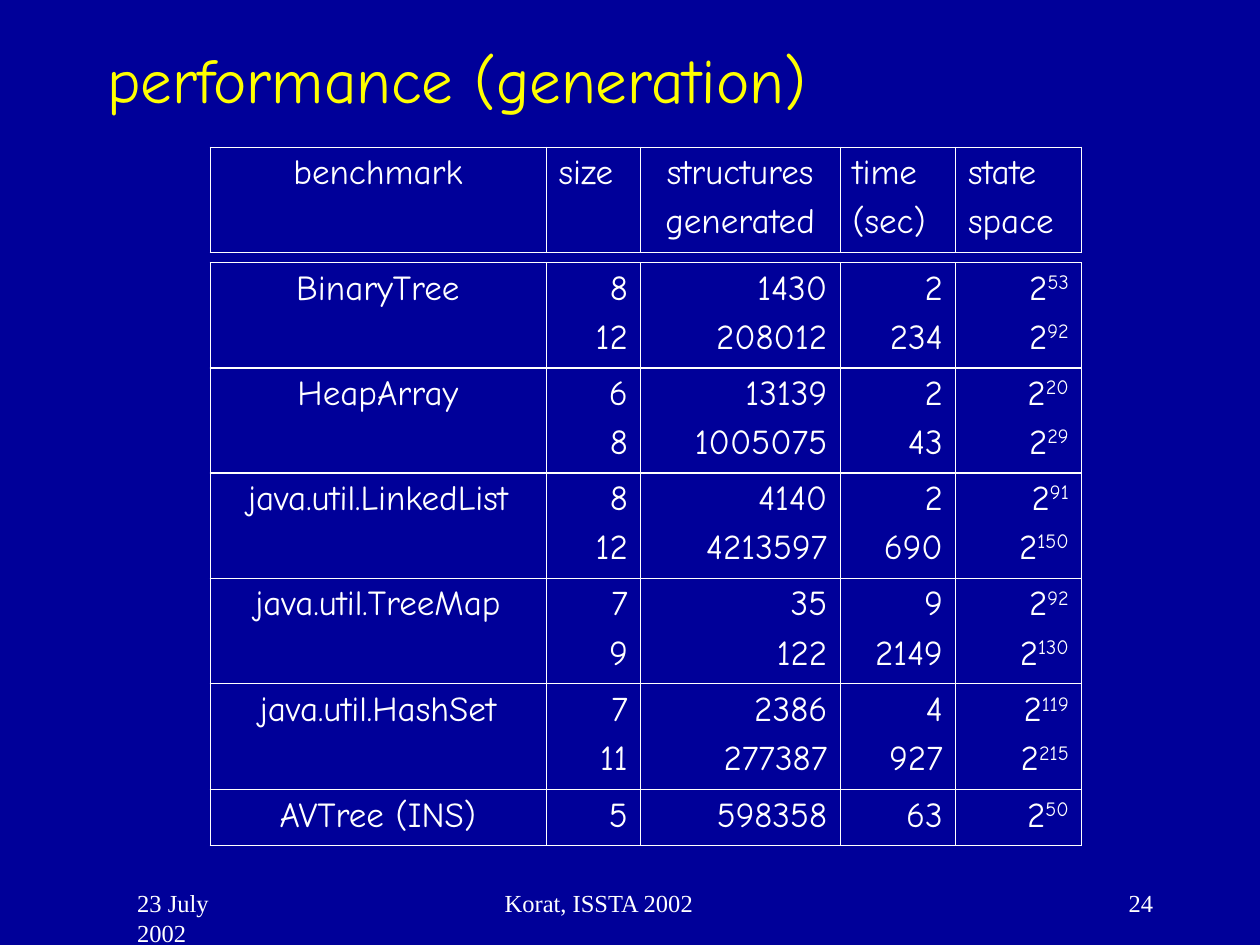
from dataclasses import dataclass

from lxml.etree import SubElement
from pptx import Presentation
from pptx.dml.color import RGBColor
from pptx.enum.text import MSO_ANCHOR as Anchor, PP_ALIGN as Align
from pptx.oxml.ns import qn
from pptx.util import Pt

NAVY = RGBColor(0x00, 0x00, 0x99)
YELLOW = RGBColor(0xFF, 0xFF, 0x00)
WHITE = RGBColor(0xFF, 0xFF, 0xFF)
BODY_FONT = "Comic Neue"
FOOTER_FONT = "Times New Roman"

TABLE_LEFT = 120
COL_WIDTHS = (192, 54, 114, 66, 72)
LINE_HEIGHT = 28.5
CELL_PADDING = 3.4
HEADER_ALIGNS = (Align.CENTER, Align.LEFT, Align.CENTER, Align.LEFT, Align.LEFT)
DATA_ALIGNS = (Align.CENTER,) + (Align.RIGHT,) * 4


@dataclass
class Row:
    benchmark: str
    size: str
    structures: str
    time: str
    space: str

    def cells(self) -> tuple[str, ...]:
        return self.benchmark, self.size, self.structures, self.time, self.space

    def height(self) -> float:
        lines = max(text.count("\n") + 1 for text in self.cells())
        return lines * LINE_HEIGHT + CELL_PADDING


@dataclass
class Block:
    top: float
    rows: list[Row]
    aligns: tuple = DATA_ALIGNS


@dataclass
class Footer:
    text: str
    left: float
    width: float
    align: Align = Align.LEFT


BLOCKS = [
    Block(84, [Row("benchmark", "size", "structures\ngenerated",
                   "time\n(sec)", "state\nspace")], HEADER_ALIGNS),
    Block(150, [Row("BinaryTree", "8\n12", "1430\n208012", "2\n234", "2^53\n2^92")]),
    Block(210, [Row("HeapArray", "6\n8", "13139\n1005075", "2\n43", "2^20\n2^29")]),
    Block(270, [
        Row("java.util.LinkedList", "8\n12", "4140\n4213597", "2\n690", "2^91\n2^150"),
        Row("java.util.TreeMap", "7\n9", "35\n122", "9\n2149", "2^92\n2^130"),
        Row("java.util.HashSet", "7\n11", "2386\n277387", "4\n927", "2^119\n2^215"),
        Row("AVTree (INS)", "5", "598358", "63", "2^50"),
    ]),
]

FOOTERS = [
    Footer("Korat, ISSTA 2002", 264, 228),
    Footer("24", 618, 48, Align.RIGHT),
    Footer("23 July 2002", 54, 96),
]


def style_runs(p, font: str, size: float, color: RGBColor) -> None:
    for r in p.runs:
        r.font.name = font
        r.font.size = Pt(size)
        r.font.color.rgb = color


def add_borders(cell) -> None:
    tc_pr = cell._tc.get_or_add_tcPr()
    for side in ("lnL", "lnR", "lnT", "lnB"):
        ln = SubElement(tc_pr, qn(f"a:{side}"), w=str(Pt(0.45)))
        fill = SubElement(ln, qn("a:solidFill"))
        SubElement(fill, qn("a:srgbClr"), val=str(WHITE))


def fill_cell(cell, text: str, align: Align) -> None:
    add_borders(cell)
    cell.fill.background()
    cell.margin_left = cell.margin_right = Pt(7.2)
    cell.margin_top = cell.margin_bottom = Pt(3.6)
    tf = cell.text_frame
    for i, line in enumerate(text.split("\n")):
        p = tf.paragraphs[0] if i == 0 else tf.add_paragraph()
        base, _, exponent = line.partition("^")
        p.text = base
        if exponent:
            r = p.add_run()
            r.text = exponent
            r._r.get_or_add_rPr().set("baseline", "30000")
        p.alignment = align
        p.space_before = Pt(5)
        style_runs(p, BODY_FONT, 20, WHITE)


def add_block(s, block: Block) -> None:
    height = sum(row.height() for row in block.rows)
    frame = s.shapes.add_table(len(block.rows), len(COL_WIDTHS), Pt(TABLE_LEFT),
                               Pt(block.top), Pt(sum(COL_WIDTHS)), Pt(height))
    table = frame.table
    table.first_row = table.horz_banding = False
    for column, width in zip(table.columns, COL_WIDTHS):
        column.width = Pt(width)
    for i, row in enumerate(block.rows):
        table.rows[i].height = Pt(row.height())
        for j, (text, align) in enumerate(zip(row.cells(), block.aligns)):
            fill_cell(table.cell(i, j), text, align)


def add_footer(s, footer: Footer) -> None:
    sp = s.shapes.add_textbox(Pt(footer.left), Pt(504), Pt(footer.width), Pt(36))
    tf = sp.text_frame
    tf.word_wrap = True
    tf.text = footer.text
    p = tf.paragraphs[0]
    p.alignment = footer.align
    p_pr = p._p.get_or_add_pPr()
    p_pr.set("marL", str(Pt(17.28)))
    p_pr.set("indent", "0")
    style_runs(p, FOOTER_FONT, 14, WHITE)


def add_title(s, text: str) -> None:
    sp = s.shapes.title
    sp.left, sp.top, sp.width, sp.height = Pt(54), Pt(12), Pt(612), Pt(66)
    tf = sp.text_frame
    tf.text = text
    tf.vertical_anchor = Anchor.MIDDLE
    p = tf.paragraphs[0]
    p.alignment = Align.LEFT
    style_runs(p, BODY_FONT, 36, YELLOW)


def main() -> None:
    prs = Presentation()
    prs.slide_width, prs.slide_height = Pt(720), Pt(540)
    s = prs.slides.add_slide(prs.slide_layouts[5])
    s.background.fill.solid()
    s.background.fill.fore_color.rgb = NAVY
    add_title(s, "performance (generation)")
    for block in BLOCKS:
        add_block(s, block)
    for footer in FOOTERS:
        add_footer(s, footer)
    prs.save("out.pptx")


if __name__ == "__main__":
    main()
